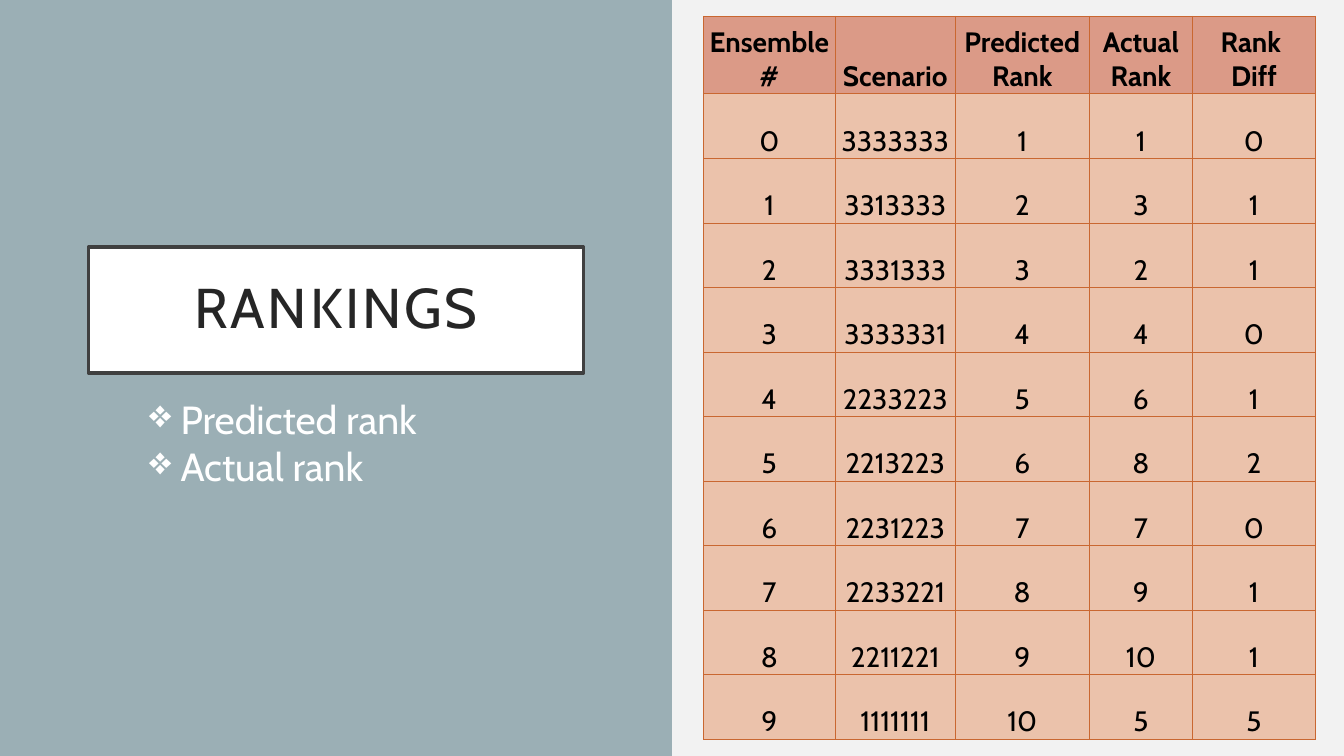
from dataclasses import dataclass

from lxml.etree import SubElement
from pptx import Presentation
from pptx.dml.color import RGBColor
from pptx.enum.shapes import MSO_SHAPE
from pptx.enum.text import MSO_ANCHOR, PP_ALIGN
from pptx.oxml import parse_xml
from pptx.oxml.ns import nsdecls, qn
from pptx.shapes.autoshape import Shape
from pptx.slide import Slide
from pptx.table import _Cell
from pptx.text.text import _Paragraph
from pptx.util import Pt

FONT = "Cabin"
BACKGROUND = RGBColor(0xF2, 0xF2, 0xF2)
PANEL = RGBColor(0x9B, 0xAF, 0xB5)
WHITE = RGBColor(0xFF, 0xFF, 0xFF)
BLACK = RGBColor(0x00, 0x00, 0x00)
TITLE_LINE = RGBColor(0x40, 0x40, 0x40)
TITLE_TEXT = RGBColor(0x26, 0x26, 0x26)
HEADER_FILL = RGBColor(0xDB, 0x9A, 0x87)
BODY_FILL = RGBColor(0xEB, 0xC2, 0xAB)
BORDER = RGBColor(0xC9, 0x67, 0x31)


@dataclass(frozen=True)
class Box:
    left: float
    top: float
    width: float
    height: float

    def lengths(self) -> tuple[Pt, Pt, Pt, Pt]:
        return Pt(self.left), Pt(self.top), Pt(self.width), Pt(self.height)


@dataclass(frozen=True)
class TextStyle:
    size: float
    color: RGBColor
    bold: bool = False
    spacing: float = 0


@dataclass(frozen=True)
class Column:
    heading: tuple[str, ...]
    width: float


@dataclass(frozen=True)
class Ranking:
    scenario: str
    actual: int

    def cells(self, ensemble: int) -> list[str]:
        predicted = ensemble + 1
        values = (ensemble, self.scenario, predicted, self.actual, abs(predicted - self.actual))
        return [str(value) for value in values]


TITLE_STYLE = TextStyle(40, TITLE_TEXT, spacing=2)
BULLET_STYLE = TextStyle(28, WHITE)
HEADER_STYLE = TextStyle(20, BLACK, bold=True)
BODY_STYLE = TextStyle(20, BLACK)

PANEL_BOX = Box(0, 0, 480, 540)
TITLE_BOX = Box(63.2, 176.6, 353.6, 90)
BULLET_BOX = Box(99.4, 278.6, 290.2, 97.2)
TABLE_BOX = Box(502.5, 11.5, 437, 516.5)
HEADER_HEIGHT = 55.5
BULLETS = ("Predicted rank", "Actual rank")

COLUMNS = (
    Column(("Ensemble #",), 94),
    Column(("Scenario",), 86),
    Column(("Predicted Rank",), 95.5),
    Column(("Actual Rank",), 74),
    Column(("Rank ", "Diff"), 87.5),
)
RANKINGS = (
    Ranking("3333333", 1),
    Ranking("3313333", 3),
    Ranking("3331333", 2),
    Ranking("3333331", 4),
    Ranking("2233223", 6),
    Ranking("2213223", 8),
    Ranking("2231223", 7),
    Ranking("2233221", 9),
    Ranking("2211221", 10),
    Ranking("1111111", 5),
)


def add_run(paragraph: _Paragraph, text: str, style: TextStyle) -> None:
    run = paragraph.add_run()
    run.text = text
    run.font.name = FONT
    run.font.size = Pt(style.size)
    run.font.bold = style.bold
    run.font.color.rgb = style.color
    if style.spacing:
        run.font._element.set("spc", str(int(style.spacing * 100)))


def add_rectangle(slide: Slide, box: Box, fill: RGBColor) -> Shape:
    shape = slide.shapes.add_shape(MSO_SHAPE.RECTANGLE, *box.lengths())
    shape.shadow.inherit = False
    shape.fill.solid()
    shape.fill.fore_color.rgb = fill
    shape.line.fill.background()
    return shape


def add_title(slide: Slide) -> None:
    shape = add_rectangle(slide, TITLE_BOX, WHITE)
    shape.line.color.rgb = TITLE_LINE
    shape.line.width = Pt(2.5)
    frame = shape.text_frame
    frame.word_wrap = True
    frame.vertical_anchor = MSO_ANCHOR.MIDDLE
    frame.margin_left = frame.margin_right = Pt(14.4)
    frame.margin_top = frame.margin_bottom = Pt(14.4)
    paragraph = frame.paragraphs[0]
    paragraph.alignment = PP_ALIGN.CENTER
    paragraph.line_spacing = 0.9
    add_run(paragraph, "RANKINGS", TITLE_STYLE)


def add_bullets(slide: Slide) -> None:
    frame = slide.shapes.add_textbox(*BULLET_BOX.lengths()).text_frame
    frame.word_wrap = True
    for index, text in enumerate(BULLETS):
        paragraph = frame.add_paragraph() if index else frame.paragraphs[0]
        properties = paragraph._p.get_or_add_pPr()
        properties.set("marL", str(Pt(22.5)))
        properties.set("indent", str(-Pt(22.5)))
        SubElement(properties, qn("a:buChar")).set("char", "❖")
        add_run(paragraph, text, BULLET_STYLE)


def add_borders(cell: _Cell) -> None:
    # Border lines come before the fill in the cell properties
    for index, side in enumerate(("lnL", "lnR", "lnT", "lnB")):
        line = parse_xml(
            f'<a:{side} {nsdecls("a")} w="{Pt(0.5)}"><a:solidFill>'
            f'<a:srgbClr val="{BORDER}"/></a:solidFill></a:{side}>'
        )
        cell._tc.get_or_add_tcPr().insert(index, line)


def fill_cell(cell: _Cell, lines: tuple[str, ...], fill: RGBColor, style: TextStyle) -> None:
    cell.fill.solid()
    cell.fill.fore_color.rgb = fill
    cell.vertical_anchor = MSO_ANCHOR.BOTTOM
    cell.margin_left = cell.margin_right = cell.margin_top = Pt(0.7)
    cell.margin_bottom = Pt(0)
    add_borders(cell)
    for index, text in enumerate(lines):
        frame = cell.text_frame
        paragraph = frame.add_paragraph() if index else frame.paragraphs[0]
        paragraph.alignment = PP_ALIGN.CENTER
        add_run(paragraph, text, style)


def add_ranking_table(slide: Slide) -> None:
    row_count = len(RANKINGS) + 1
    table = slide.shapes.add_table(row_count, len(COLUMNS), *TABLE_BOX.lengths()).table
    table.first_row = False
    table.horz_banding = False
    body_height = (TABLE_BOX.height - HEADER_HEIGHT) / len(RANKINGS)
    for index, row in enumerate(table.rows):
        row.height = Pt(body_height if index else HEADER_HEIGHT)
    for index, column in enumerate(COLUMNS):
        table.columns[index].width = Pt(column.width)
        fill_cell(table.cell(0, index), column.heading, HEADER_FILL, HEADER_STYLE)
    for ensemble, ranking in enumerate(RANKINGS):
        for index, text in enumerate(ranking.cells(ensemble)):
            fill_cell(table.cell(ensemble + 1, index), (text,), BODY_FILL, BODY_STYLE)


def main() -> None:
    presentation = Presentation()
    presentation.slide_width = Pt(960)
    presentation.slide_height = Pt(540)
    slide = presentation.slides.add_slide(presentation.slide_layouts[6])
    slide.background.fill.solid()
    slide.background.fill.fore_color.rgb = BACKGROUND

    # Left panel with title and bullets
    add_rectangle(slide, PANEL_BOX, PANEL)
    add_title(slide)
    add_bullets(slide)

    # Right side table
    add_ranking_table(slide)
    presentation.save("out.pptx")


if __name__ == "__main__":
    main()
